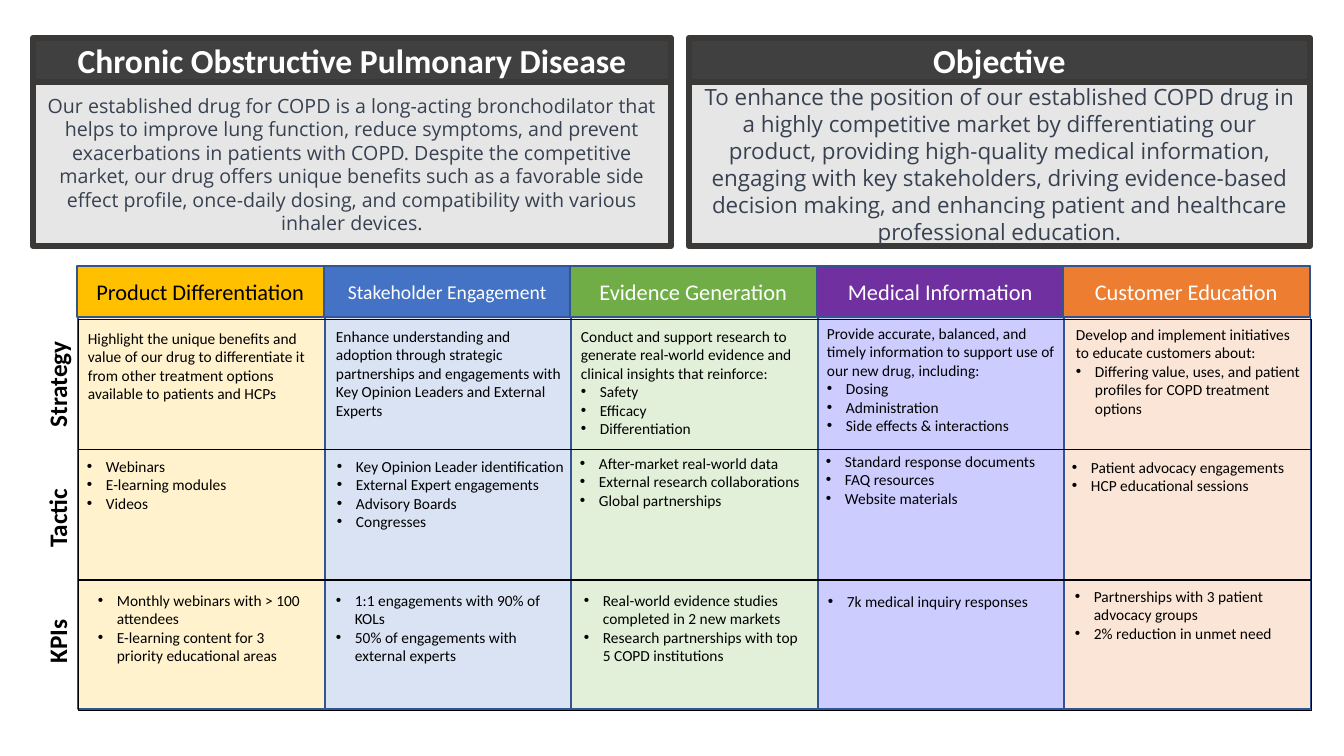
import pptx
import pptx.dml.color
import pptx.enum.shapes
import pptx.enum.text
import pptx.oxml.ns
import pptx.util
from lxml import etree

RGBColor = pptx.dml.color.RGBColor
ALIGN = pptx.enum.text.PP_ALIGN
ANCHOR = pptx.enum.text.MSO_ANCHOR
AUTO_SIZE = pptx.enum.text.MSO_AUTO_SIZE

SCALE = 914400 / 100.8
BLACK, WHITE = RGBColor(0, 0, 0), RGBColor(255, 255, 255)
CHARCOAL, PANEL_LINE = RGBColor(0x40, 0x40, 0x40), RGBColor(0x3B, 0x38, 0x38)
PANEL_GREY, SLATE = RGBColor(0xE7, 0xE6, 0xE6), RGBColor(0x37, 0x41, 0x51)
COLUMN_LINE = RGBColor(0x32, 0x54, 0x91)
GOLD, CREAM = RGBColor(0xFF, 0xC0, 0x00), RGBColor(0xFF, 0xF2, 0xCC)
BLUE, PALE_BLUE = RGBColor(0x44, 0x72, 0xC4), RGBColor(0xDA, 0xE3, 0xF3)
GREEN, PALE_GREEN = RGBColor(0x70, 0xAD, 0x47), RGBColor(0xE2, 0xF0, 0xD9)
PURPLE, LILAC = RGBColor(0x70, 0x30, 0xA0), RGBColor(0xCC, 0xCC, 0xFF)
ORANGE, PEACH = RGBColor(0xED, 0x7D, 0x31), RGBColor(0xFB, 0xE5, 0xD6)

TITLE = {"name": "Calibri", "size": 24, "bold": True, "color": WHITE}
ROW_LABEL = {"name": "Calibri", "size": 18, "bold": True, "color": BLACK}
CELL = {"name": "Calibri", "size": 11, "color": BLACK}

PANELS = [
    ((33, 38, 638, 208), "Chronic Obstructive Pulmonary Disease", 14,
     "Our established drug for COPD is a long-acting bronchodilator that helps to improve lung "
     "function, reduce symptoms, and prevent exacerbations in patients with COPD. Despite the "
     "competitive market, our drug offers unique benefits such as a favorable side effect profile, "
     "once-daily dosing, and compatibility with various inhaler devices."),
    ((689, 38, 621, 208), "Objective", 16,
     "To enhance the position of our established COPD drug in a highly competitive market by "
     "differentiating our product, providing high-quality medical information, engaging with key "
     "stakeholders, driving evidence-based decision making, and enhancing patient and healthcare "
     "professional education."),
]

COLUMNS = [
    ("Product Differentiation", 16, BLACK, GOLD, CREAM),
    ("Stakeholder Engagement", 14, WHITE, BLUE, PALE_BLUE),
    ("Evidence Generation", 16, WHITE, GREEN, PALE_GREEN),
    ("Medical Information", 16, WHITE, PURPLE, LILAC),
    ("Customer Education", 16, WHITE, ORANGE, PEACH),
]

# Each cell: x offset, y offset, line count, introduction, bullets.
ROWS = [
    ("Strategy", 109, 0, 248, [
        (1, 5, 4, "Highlight the unique benefits and value of our drug to differentiate it from "
         "other treatment options available to patients and HCPs", []),
        (2, 3, 5, "Enhance understanding and adoption through strategic partnerships and "
         "engagements with Key Opinion Leaders and External Experts", []),
        (1, 3, 6, "Conduct and support research to generate real-world evidence and clinical "
         "insights that reinforce:", ["Safety", "Efficacy", "Differentiation"]),
        (0, 0, 6, "Provide accurate, balanced, and timely information to support use of our new "
         "drug, including:", ["Dosing", "Administration", "Side effects & interactions"]),
        (3, 1, 5, "Develop and implement initiatives to educate customers about:",
         ["Differing value, uses, and patient profiles for COPD treatment options"]),
    ]),
    ("Tactic", 89, 0, 248, [
        (0, 3, 3, "", ["Webinars", "E-learning modules", "Videos"]),
        (3, 3, 4, "", ["Key Opinion Leader identification", "External Expert engagements",
                       "Advisory Boards", "Congresses"]),
        (0, 0, 3, "", ["After-market real-world data", "External research collaborations",
                       "Global partnerships"]),
        (-1, -2, 3, "", ["Standard response documents", "FAQ resources", "Website materials"]),
        (-1, 4, 2, "", ["Patient advocacy engagements", "HCP educational sessions"]),
    ]),
    ("KPIs", 79, -10, 235, [
        (11, 6, 4, "", ["Monthly webinars with > 100 attendees",
                        "E-learning content for 3 priority educational areas"]),
        (2, 6, 4, "", ["1:1 engagements with 90% of KOLs",
                       "50% of engagements with external experts"]),
        (4, 6, 4, "", ["Real-world evidence studies completed in 2 new markets",
                       "Research partnerships with top 5 COPD institutions"]),
        (1, 7, 1, "", ["7k medical inquiry responses"]),
        (2, 2, 3, "", ["Partnerships with 3 patient advocacy groups",
                       "2% reduction in unmet need"]),
    ]),
]


def emu(*pixels):
    """Turn pixel lengths into EMU."""
    return [pptx.util.Emu(round(pixel * SCALE)) for pixel in pixels]


def write(paragraph, text, style):
    """Add a run of text with the given font values."""
    run = paragraph.add_run()
    run.text = text
    for key, value in style.items():
        if key == "color":
            run.font.color.rgb = value
        else:
            setattr(run.font, key, pptx.util.Pt(value) if key == "size" else value)


def add_box(slide, box, fill, line, weight, text="", style=None):
    """Add a rectangle with optional centred text."""
    shape = slide.shapes.add_shape(pptx.enum.shapes.MSO_SHAPE.RECTANGLE, *emu(*box))
    shape.shadow.inherit = False
    if fill is None:
        shape.fill.background()
    else:
        shape.fill.solid()
        shape.fill.fore_color.rgb = fill
    shape.line.color.rgb = line
    shape.line.width = pptx.util.Pt(weight)
    if text:
        shape.text_frame.vertical_anchor = ANCHOR.MIDDLE
        paragraph = shape.text_frame.paragraphs[0]
        paragraph.alignment = ALIGN.CENTER
        write(paragraph, text, style)


def add_text(slide, box, wrap):
    """Add a text box that grows with its text."""
    shape = slide.shapes.add_textbox(*emu(*box))
    shape.text_frame.word_wrap = wrap
    shape.text_frame.auto_size = AUTO_SIZE.SHAPE_TO_FIT_TEXT
    return shape


def add_bullet(paragraph):
    """Give a paragraph a round bullet and a hanging indent."""
    indent, = emu(19)
    properties = paragraph._p.get_or_add_pPr()
    properties.set("marL", str(indent))
    properties.set("indent", str(-indent))
    for tag, key, value in (("a:buFont", "typeface", "Arial"), ("a:buChar", "char", "•")):
        etree.SubElement(properties, pptx.oxml.ns.qn(tag)).set(key, value)


def add_panel(slide, box, title, size, body):
    """Place a dark title bar above a grey body."""
    left, top, width, height = box
    bar = 44
    style = {"name": "Open Sans", "size": size, "color": SLATE}
    add_box(slide, (left, top, width, bar), CHARCOAL, PANEL_LINE, 4.5, title, TITLE)
    add_box(slide, (left, top + bar, width, height - bar), PANEL_GREY, PANEL_LINE, 4.5, body, style)


def add_cell(slide, left, top, width, lines, introduction, bullets):
    """Place an introduction and its bullets in one grid cell."""
    frame = add_text(slide, (left, top, width, round(10 + 18.6 * lines)), True).text_frame
    texts = [introduction] * bool(introduction) + bullets
    for index, text in enumerate(texts):
        paragraph = frame.add_paragraph() if index else frame.paragraphs[0]
        if text != introduction:
            add_bullet(paragraph)
        write(paragraph, text, CELL)


def add_row_label(slide, center, middle, width, text):
    """Place an upright row label around a centre point."""
    height = 40
    shape = add_text(slide, (center - width / 2, middle - height / 2, width, height), False)
    shape.rotation = 270
    shape.text_frame.vertical_anchor = ANCHOR.MIDDLE
    write(shape.text_frame.paragraphs[0], text, ROW_LABEL)


def add_plan(slide, box):
    """Place the coloured columns, row frames, row labels and cells."""
    left, top, width, height = box
    header = 51
    column_width = width / len(COLUMNS)
    row_height = (height - header - 2) / len(ROWS)
    column_lefts = [round(left + index * column_width) for index in range(len(COLUMNS))]
    row_tops = [round(top + header + 2 + index * row_height) for index in range(len(ROWS))]
    for column_left, column in zip(column_lefts, COLUMNS):
        add_box(slide, (column_left + 1, top, column_width, height - 1), column[4], COLUMN_LINE, 1)
    for column_left, (title, size, color, fill, _) in zip(column_lefts, COLUMNS):
        style = {"name": "Calibri", "size": size, "color": color}
        add_box(slide, (column_left, top, column_width, header), fill, COLUMN_LINE, 1, title, style)
    for row_top in row_tops:
        add_box(slide, (left + 1, row_top, width, row_height), None, BLACK, 0.25)
    for row_top, (label, label_width, shift, cell_width, cells) in zip(row_tops, ROWS):
        add_row_label(slide, left - 20, row_top + 64 + shift, label_width, label)
        for column_left, (across, down, *content) in zip(column_lefts, cells):
            add_cell(slide, column_left + across, row_top + down, cell_width, *content)


def main():
    """Build the slide and save it."""
    presentation = pptx.Presentation()
    presentation.slide_width, presentation.slide_height = emu(1344, 756)
    slide = presentation.slides.add_slide(presentation.slide_layouts[6])
    for panel in PANELS:
        add_panel(slide, *panel)
    add_plan(slide, (77, 266, 1233, 444))
    presentation.save("out.pptx")


main()
